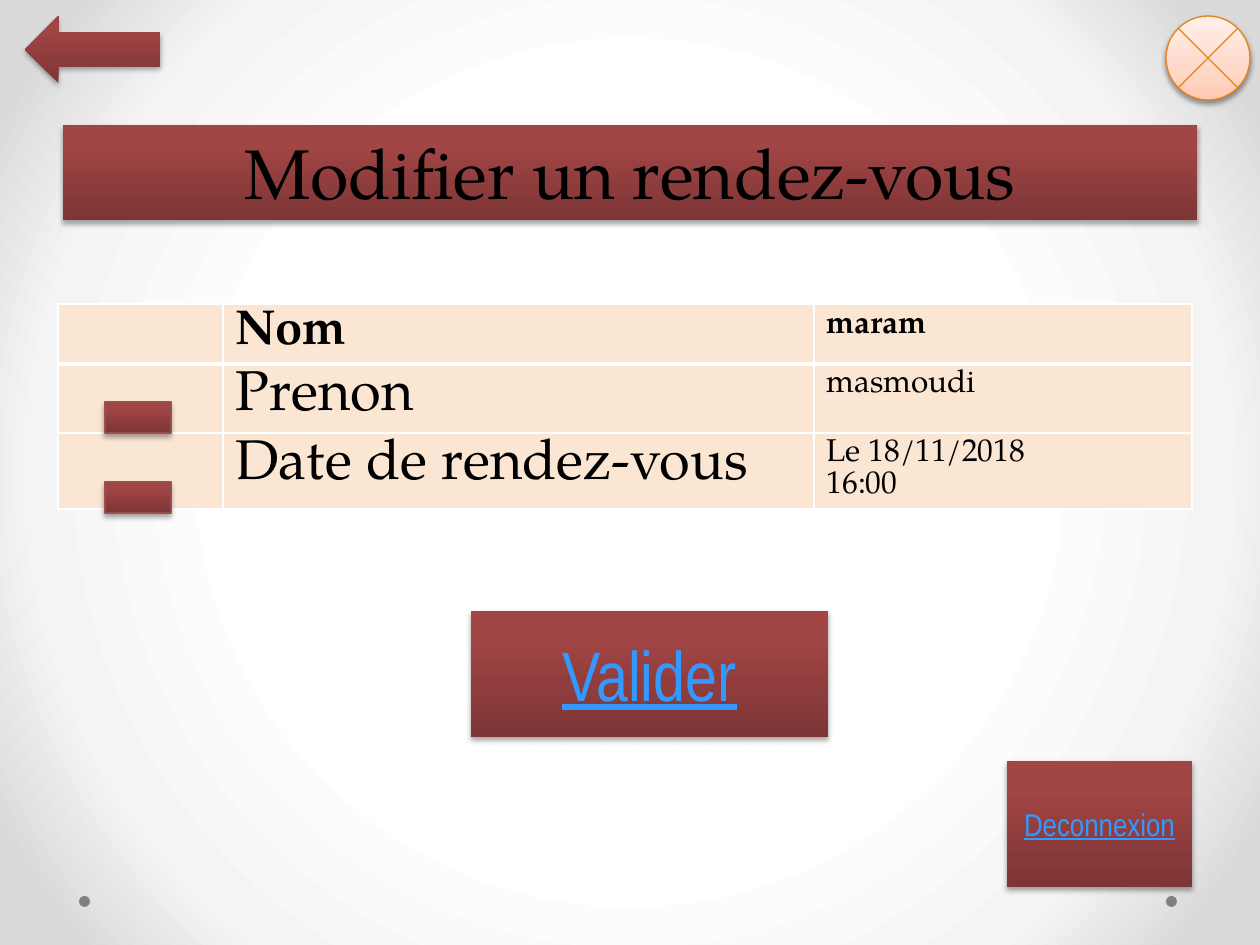
from dataclasses import dataclass
from typing import Optional

from lxml.etree import SubElement
from pptx import Presentation
from pptx.dml.color import RGBColor
from pptx.enum.shapes import MSO_SHAPE as SHAPE
from pptx.enum.text import MSO_ANCHOR as ANCHOR, MSO_AUTO_SIZE as AUTO, PP_ALIGN as ALIGN
from pptx.oxml import parse_xml
from pptx.oxml.ns import nsdecls, qn
from pptx.util import Pt

PX = 914400 / 126
SERIF, NARROW = "TeX Gyre Pagella", "Arial Narrow"

BLACK = RGBColor(0x00, 0x00, 0x00)
WHITE = RGBColor(0xFF, 0xFF, 0xFF)
GREY = RGBColor(0x80, 0x80, 0x80)
LINK_BLUE = RGBColor(0x33, 0x99, 0xFF)
CREAM = RGBColor(0xFA, 0xE6, 0xD3)
ORANGE = RGBColor(0xE6, 0x81, 0x1C)
BRICK = RGBColor(0x9A, 0x4E, 0x4E)

# Gradient stops: (position in percent, colour)
RED_STOPS = [(0, RGBColor(0x7D, 0x35, 0x35)), (80, RGBColor(0xA2, 0x45, 0x45)),
             (100, RGBColor(0xA4, 0x43, 0x43))]
PEACH_STOPS = [(0, RGBColor(0xFF, 0xC9, 0xB1)), (35, RGBColor(0xFF, 0xD8, 0xC8)),
               (100, RGBColor(0xFF, 0xF0, 0xEA))]
PAGE_STOPS = [(50, WHITE), (76, RGBColor(0xF4, 0xF4, 0xF4)),
              (92, RGBColor(0xDA, 0xDA, 0xDA))]
UPWARD = '<a:lin ang="16200000" scaled="0"/>'
RADIAL = ('<a:path path="circle">'
          '<a:fillToRect l="50000" t="50000" r="50000" b="50000"/></a:path>')


@dataclass
class Box:
    x: int
    y: int
    w: int
    h: int
    kind: SHAPE = SHAPE.RECTANGLE
    line: Optional[RGBColor] = None
    text: str = ""
    size: int = 18


@dataclass
class Row:
    height: int
    label: str
    values: list
    size: int
    leading: int
    bold: bool = False


BUTTONS = [
    Box(471, 611, 357, 126, text="Valider", size=40),
    Box(25, 16, 135, 67, SHAPE.LEFT_ARROW),
    Box(1007, 761, 185, 126, text="Deconnexion"),
]
CLOSE = Box(1166, 16, 84, 84, SHAPE.FLOWCHART_SUMMING_JUNCTION, ORANGE)
MARKERS = [Box(105, y, 66, 31, line=BRICK) for y in (402, 482)]
DOTS = [Box(x, 896, 11, 11, SHAPE.OVAL) for x in (1166, 79)]

COLUMNS = [165, 591, 378]
ROWS = [
    Row(60, "Nom", ["maram"], 28, 27, True),
    Row(69, "Prenon", ["masmoudi"], 32, 32),
    Row(76, "Date de rendez-vous", ["Le 18/11/2018", "16:00"], 32, 32),
]


def px(n: int) -> int:
    return round(n * PX)


def gradient(stops: list, direction: str):
    gs = "".join(f'<a:gs pos="{pos * 1000}"><a:srgbClr val="{color}"/></a:gs>'
                 for pos, color in stops)
    return parse_xml(f'<a:gradFill {nsdecls("a")} rotWithShape="1">'
                     f'<a:gsLst>{gs}</a:gsLst>{direction}</a:gradFill>')


def set_line(sp, color: Optional[RGBColor]) -> None:
    if color is None:
        sp.line.fill.background()
    else:
        sp.line.color.rgb = color
        sp.line.width = Pt(0.75)


def style_raised(sp, stops: list, line: Optional[RGBColor], alpha: int = 35) -> None:
    """Gradient fill, outline and soft shadow below."""
    set_line(sp, line)
    sp.shadow.inherit = False
    sp_pr = sp._element.spPr
    sp_pr.find(qn("a:ln")).addprevious(gradient(stops, UPWARD))
    shadow = SubElement(sp_pr.find(qn("a:effectLst")), qn("a:outerShdw"),
                        blurRad=str(Pt(3.1)), dist=str(Pt(1.8)),
                        dir="5400000", rotWithShape="0")
    color = SubElement(shadow, qn("a:srgbClr"), val=str(BLACK))
    SubElement(color, qn("a:alpha"), val=str(alpha * 1000))


def style_text(p, font: str, size: int, color: RGBColor, bold: bool = False,
               underline: bool = False) -> None:
    for r in p.runs:
        r.font.name, r.font.size = font, Pt(size)
        r.font.bold, r.font.underline = bold, underline
        r.font.color.rgb = color


def add_shape(s, box: Box):
    return s.shapes.add_shape(box.kind, px(box.x), px(box.y), px(box.w), px(box.h))


def add_raised(s, box: Box, stops: list = RED_STOPS, alpha: int = 35) -> None:
    sp = add_shape(s, box)
    style_raised(sp, stops, box.line, alpha)
    if box.text:
        tf = sp.text_frame
        tf.text = box.text
        tf.word_wrap = True
        tf.vertical_anchor = ANCHOR.MIDDLE
        p = tf.paragraphs[0]
        p.alignment = ALIGN.CENTER
        style_text(p, NARROW, box.size, LINK_BLUE, underline=True)


def add_dot(s, box: Box) -> None:
    sp = add_shape(s, box)
    sp.fill.solid()
    sp.fill.fore_color.rgb = GREY
    sp.line.fill.background()
    sp.shadow.inherit = False


def set_title(s) -> None:
    sp = s.shapes.title
    sp.left, sp.top, sp.width, sp.height = px(63), px(125), px(1134), px(95)
    style_raised(sp, RED_STOPS, None)
    tf = sp.text_frame
    tf.text = "Modifier un rendez-vous"
    tf.auto_size = AUTO.NONE
    tf.vertical_anchor = ANCHOR.BOTTOM
    p = tf.paragraphs[0]
    p.alignment = ALIGN.CENTER
    p.line_spacing = Pt(58)
    style_text(p, SERIF, 40, BLACK)


def style_cell(cell, top: int, bottom: int) -> None:
    tc_pr = cell._tc.get_or_add_tcPr()
    for tag, width in (("lnL", 1), ("lnR", 1), ("lnT", top), ("lnB", bottom)):
        ln = SubElement(tc_pr, qn(f"a:{tag}"), w=str(Pt(width)))
        SubElement(SubElement(ln, qn("a:solidFill")), qn("a:srgbClr"), val=str(WHITE))
    cell.fill.solid()
    cell.fill.fore_color.rgb = CREAM


def fill_cell(cell, lines: list, size: int, leading: int, bold: bool) -> None:
    cell.text_frame.text = "\n".join(lines)
    for p in cell.text_frame.paragraphs:
        p.line_spacing = Pt(leading)
        style_text(p, SERIF, size, BLACK, bold)


def add_details(s) -> None:
    table = s.shapes.add_table(len(ROWS), len(COLUMNS), px(58), px(304), px(sum(COLUMNS)),
                               px(sum(row.height for row in ROWS))).table
    table.first_row = table.horz_banding = False
    for col, width in zip(table.columns, COLUMNS):
        col.width = px(width)
    for i, row in enumerate(ROWS):
        table.rows[i].height = px(row.height)
        for j in range(len(COLUMNS)):
            style_cell(table.cell(i, j), 3 if i == 1 else 1, 3 if i == 0 else 1)
        fill_cell(table.cell(i, 1), [row.label], row.size, row.leading, row.bold)
        fill_cell(table.cell(i, 2), row.values, 18, 18, row.bold)


def main() -> None:
    prs = Presentation()
    prs.slide_width, prs.slide_height = px(1260), px(945)
    s = prs.slides.add_slide(prs.slide_layouts[5])

    # Background
    s.background.fill.solid()
    bg_pr = s._element.cSld.bg.bgPr
    bg_pr.replace(bg_pr.find(qn("a:solidFill")), gradient(PAGE_STOPS, RADIAL))
    for dot in DOTS:
        add_dot(s, dot)

    # Title and navigation
    set_title(s)
    for button in BUTTONS:
        add_raised(s, button)
    add_raised(s, CLOSE, PEACH_STOPS, 38)

    # Appointment details and row markers
    add_details(s)
    for marker in MARKERS:
        add_raised(s, marker)

    prs.save("out.pptx")


if __name__ == "__main__":
    main()
